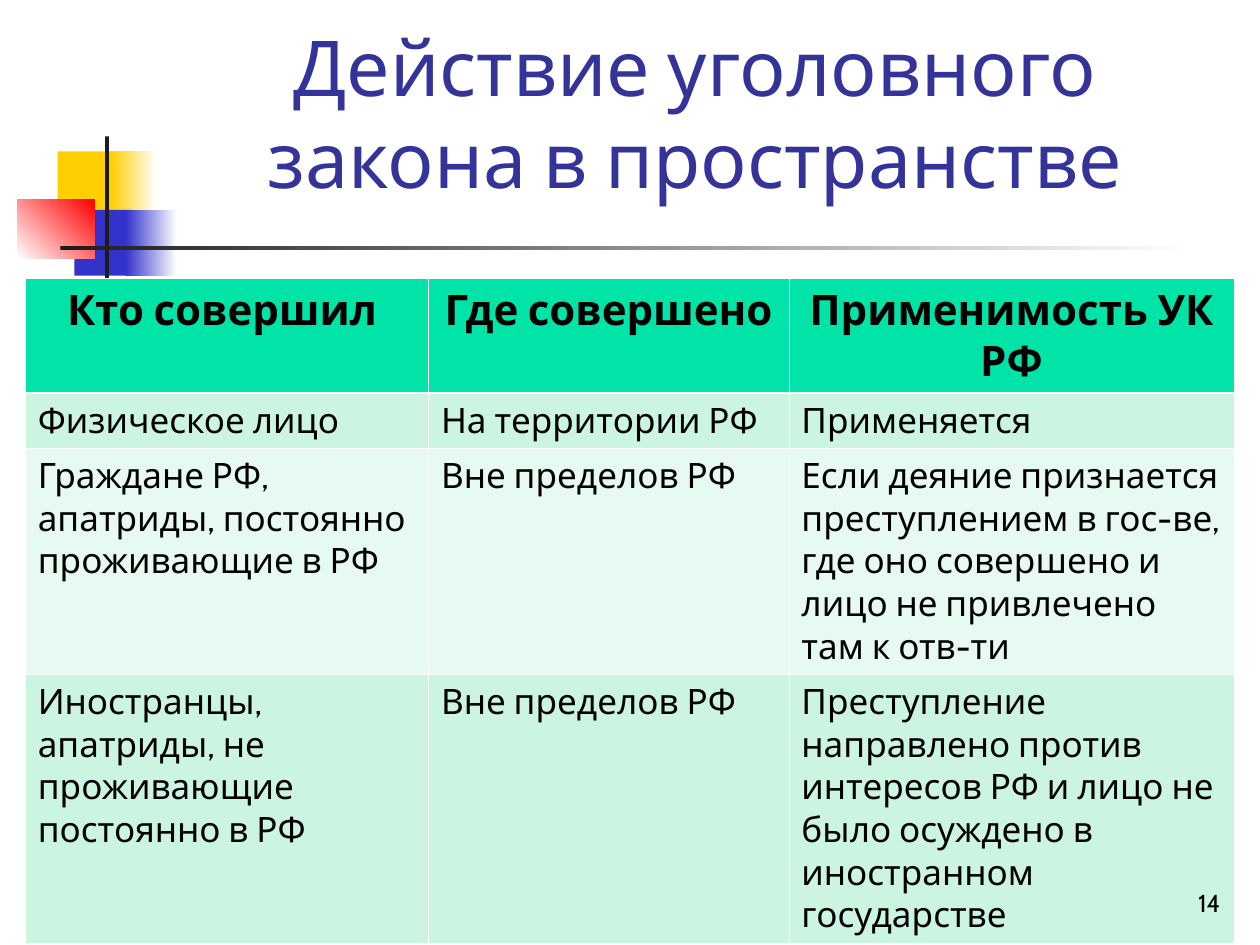
from pptx import Presentation
from pptx.dml.color import RGBColor
from pptx.enum.shapes import MSO_SHAPE
from pptx.enum.text import MSO_ANCHOR, PP_ALIGN
from pptx.oxml.ns import qn
from pptx.util import Pt
from lxml import etree

RECT = MSO_SHAPE.RECTANGLE
BOTTOM = MSO_ANCHOR.BOTTOM
LEFT, CENTER, RIGHT = PP_ALIGN.LEFT, PP_ALIGN.CENTER, PP_ALIGN.RIGHT

WHITE = RGBColor(0xFF, 0xFF, 0xFF)
BLACK = RGBColor(0x00, 0x00, 0x00)
YELLOW = RGBColor(0xFF, 0xCF, 0x01)
BLUE = RGBColor(0x33, 0x33, 0xCC)
RED = RGBColor(0xFF, 0x00, 0x00)
DARK = RGBColor(0x1C, 0x1C, 0x1C)
NAVY = RGBColor(0x33, 0x33, 0x99)
GREEN = RGBColor(0x00, 0xE4, 0xA8)
MINT = RGBColor(0xCB, 0xF5, 0xE1)
PALE = RGBColor(0xE7, 0xFA, 0xF1)

FONT = "Cabin"
THIN, THICK = 0.45, 1.47

ROWS = [
    ("Кто совершил ", "Где совершено", "Применимость УК РФ"),
    ("Физическое лицо", "На территории РФ", "Применяется"),
    ("Граждане РФ, апатриды, постоянно проживающие в РФ",
     "Вне пределов РФ",
     "Если деяние признается преступлением в гос-ве, "
     "где оно совершено и лицо не привлечено там к отв-ти"),
    ("Иностранцы, апатриды, не проживающие постоянно в РФ",
     "Вне пределов РФ",
     "Преступление направлено против интересов РФ "
     "и лицо не было осуждено в иностранном государстве"),
]
WIDTHS = (230.4, 206, 254.4)
HEIGHTS = (65, 31, 127.5, 151)
FILLS = (GREEN, MINT, PALE, MINT)


def write(frame, text, size, color, align, bold=False):
    para = frame.paragraphs[0]
    para.alignment = align
    run = para.add_run()
    run.text = text
    font = run.font
    font.name, font.size, font.bold = FONT, Pt(size), bold
    font.color.rgb = color


def add_block(slide, box, start, end=None, angle=0):
    shape = slide.shapes.add_shape(RECT, *map(Pt, box))
    shape.shadow.inherit = False
    shape.line.fill.background()
    if end is None:
        shape.fill.solid()
        shape.fill.fore_color.rgb = start
        return
    shape.fill.gradient()
    shape.fill.gradient_angle = angle
    for stop, color in zip(shape.fill.gradient_stops, (start, end)):
        stop.color.rgb = color


def add_motif(slide, box):
    x, y, w, h = box
    add_block(slide, (x + 23, y + 8.5, 34.5, 37.5), YELLOW)
    add_block(slide, (x + 53.5, y + 8.5, 26, 37.5), YELLOW, WHITE)
    add_block(slide, (x + 32.5, y + 42, 33, 37.5), BLUE)
    add_block(slide, (x + 62, y + 42, 29, 37.5), BLUE, WHITE)
    add_block(slide, (x, y + 36, 44, 33.5), WHITE, RED, 45)
    add_block(slide, (x + 50, y, 2.3, h), DARK)
    add_block(slide, (x + 24.5, y + 62.5, w - 24.5, 2.3), DARK, WHITE)


def add_title(slide, box):
    title = slide.shapes.title
    title.left, title.top, title.width, title.height = map(Pt, box)
    frame = title.text_frame
    frame.word_wrap = True
    frame.vertical_anchor = BOTTOM
    frame.margin_left = frame.margin_right = 0
    frame.margin_top = frame.margin_bottom = 0
    write(frame, "Действие уголовного закона в пространстве", 44, NAVY, CENTER)


def set_edge(props, side, width):
    line = etree.Element(qn("a:" + side), w=str(Pt(width)))
    fill = etree.SubElement(line, qn("a:solidFill"))
    etree.SubElement(fill, qn("a:srgbClr"), val=str(WHITE))
    return line


def set_edges(cell, top, bottom):
    props = cell._tc.get_or_add_tcPr()
    sides = (("lnL", THIN), ("lnR", THIN), ("lnT", top), ("lnB", bottom))
    for spot, (side, width) in enumerate(sides):
        props.insert(spot, set_edge(props, side, width))


def add_grid(slide, box):
    table = slide.shapes.add_table(len(ROWS), len(WIDTHS), *map(Pt, box)).table
    for column, width in zip(table.columns, WIDTHS):
        column.width = Pt(width)
    for i, texts in enumerate(ROWS):
        table.rows[i].height = Pt(HEIGHTS[i])
        head = i == 0
        for j, text in enumerate(texts):
            cell = table.cell(i, j)
            cell.fill.solid()
            cell.fill.fore_color.rgb = FILLS[i]
            set_edges(cell, THICK if i == 1 else THIN, THICK if head else THIN)
            write(cell.text_frame, text, 24 if head else 20, BLACK,
                  CENTER if head else LEFT, head)


def add_number(slide, box):
    frame = slide.shapes.add_textbox(*map(Pt, box)).text_frame
    frame.word_wrap = True
    frame.vertical_anchor = BOTTOM
    write(frame, "14", 14, BLACK, RIGHT)


def main():
    deck = Presentation()
    deck.slide_width, deck.slide_height = Pt(720), Pt(540)
    slide = deck.slides.add_slide(deck.slide_layouts[5])
    add_motif(slide, (10, 78, 672.5, 83))
    add_title(slide, (90.5, 16.5, 613.5, 100))
    add_grid(slide, (14.4, 159, sum(WIDTHS), sum(HEIGHTS)))
    add_number(slide, (554.5, 492, 150, 36))
    deck.save("out.pptx")


if __name__ == "__main__":
    main()
